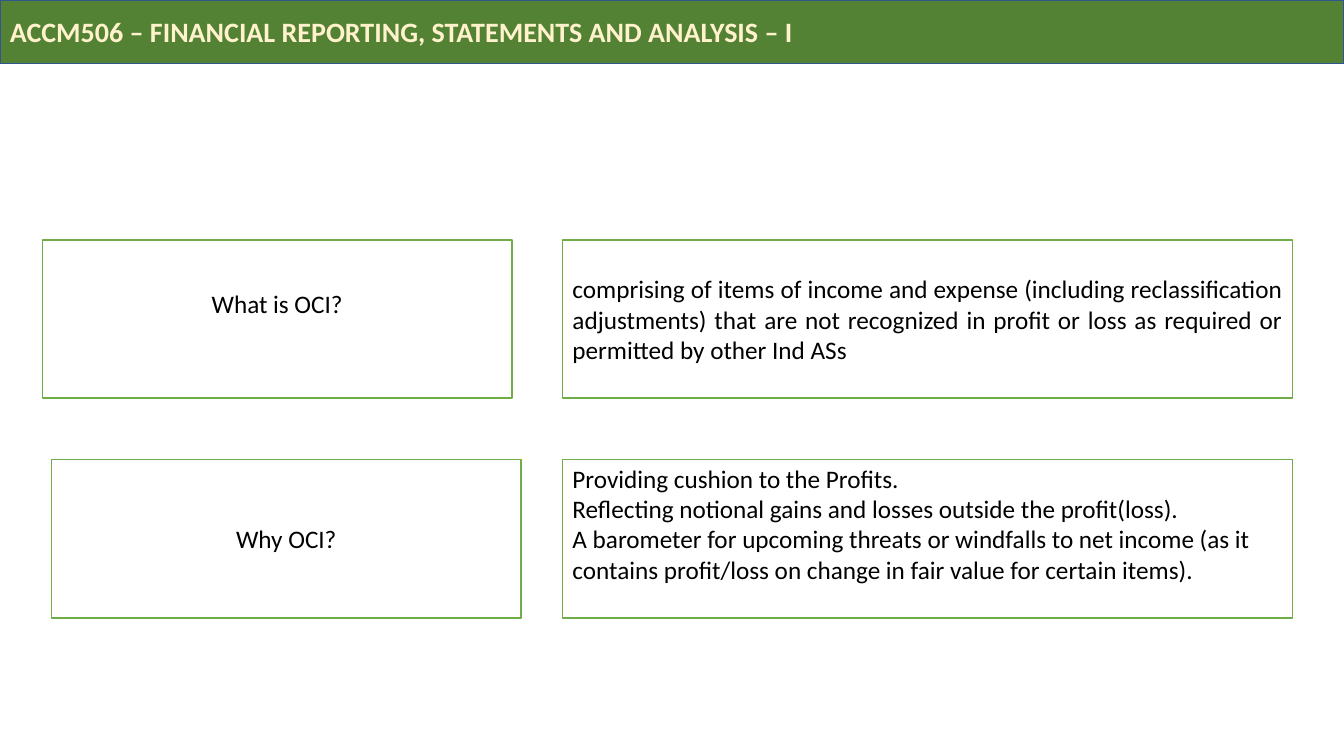
from pptx import Presentation
from pptx.dml.color import RGBColor
from pptx.enum import shapes, text
from pptx.util import Inches, Pt

WHITE = RGBColor(0xFF, 0xFF, 0xFF)
BLACK = RGBColor(0x00, 0x00, 0x00)
CREAM = RGBColor(0xFF, 0xF2, 0xCC)
DARK_GREEN = RGBColor(0x54, 0x82, 0x35)
GREEN = RGBColor(0x70, 0xAD, 0x47)
NAVY = RGBColor(0x32, 0x54, 0x91)

SLIDE_WIDTH, SLIDE_HEIGHT = 13.33, 7.5
HEADER_HEIGHT = 0.63
ROW_HEIGHT, ROW_PITCH, FIRST_ROW_TOP = 1.57, 2.18, 2.38
QUESTION_WIDTH = 4.66
ANSWER_LEFT, ANSWER_WIDTH = 5.58, 7.24
MARGIN, RAISED_MARGIN = 0.05, 0.35  # the raised margin lifts text by half a line

LEFT, CENTER, JUSTIFY = (text.PP_ALIGN.LEFT, text.PP_ALIGN.CENTER,
                         text.PP_ALIGN.JUSTIFY)

# question, its left edge and bottom margin; answer, its alignment and bottom margin
ROWS = [
    ("What is OCI?", 0.42, RAISED_MARGIN,
     "comprising of items of income and expense (including reclassification "
     "adjustments) that are not recognized in profit or loss as required or "
     "permitted by other Ind ASs", JUSTIFY, MARGIN),
    ("Why OCI?", 0.51, MARGIN,
     "Providing cushion to the Profits.\n"
     "Reflecting notional gains and losses outside the profit(loss).\n"
     "A barometer for upcoming threats or windfalls to net income (as it "
     "contains profit/loss on change in fair value for certain items).",
     LEFT, RAISED_MARGIN),
]


def add_box(slide, box, content, alignment, fill=WHITE, line=GREEN,
            color=BLACK, size=18, bold=False, bottom_margin=MARGIN):
    """Add an outlined rectangle; box is left, top, width, height in inches."""
    shape = slide.shapes.add_shape(shapes.MSO_SHAPE.RECTANGLE,
                                   *(Inches(length) for length in box))
    shape.shadow.inherit = False
    shape.fill.solid()
    shape.fill.fore_color.rgb = fill
    shape.line.color.rgb = line
    shape.line.width = Pt(1)
    frame = shape.text_frame
    frame.word_wrap = True
    frame.vertical_anchor = text.MSO_ANCHOR.MIDDLE
    frame.margin_bottom = Inches(bottom_margin)
    frame.text = content
    for paragraph in frame.paragraphs:
        paragraph.alignment = alignment
        for run in paragraph.runs:
            run.font.name = "Calibri"
            run.font.size = Pt(size)
            run.font.bold = bold
            run.font.color.rgb = color


def add_header(slide, box):
    add_box(slide, box,
            "ACCM506 – FINANCIAL REPORTING, STATEMENTS AND ANALYSIS – I",
            LEFT, DARK_GREEN, NAVY, CREAM, size=20, bold=True)


def add_question_row(slide, top, row):
    question, left, question_margin, answer, alignment, answer_margin = row
    add_box(slide, (ANSWER_LEFT, top, ANSWER_WIDTH, ROW_HEIGHT), answer,
            alignment, bottom_margin=answer_margin)
    add_box(slide, (left, top, QUESTION_WIDTH, ROW_HEIGHT), question,
            CENTER, bottom_margin=question_margin)


def main():
    presentation = Presentation()
    presentation.slide_width = Inches(SLIDE_WIDTH)
    presentation.slide_height = Inches(SLIDE_HEIGHT)
    slide = presentation.slides.add_slide(presentation.slide_layouts[6])
    add_header(slide, (0, 0, SLIDE_WIDTH, HEADER_HEIGHT))
    for index, row in enumerate(ROWS):
        add_question_row(slide, FIRST_ROW_TOP + index * ROW_PITCH, row)
    presentation.save("out.pptx")


if __name__ == "__main__":
    main()
